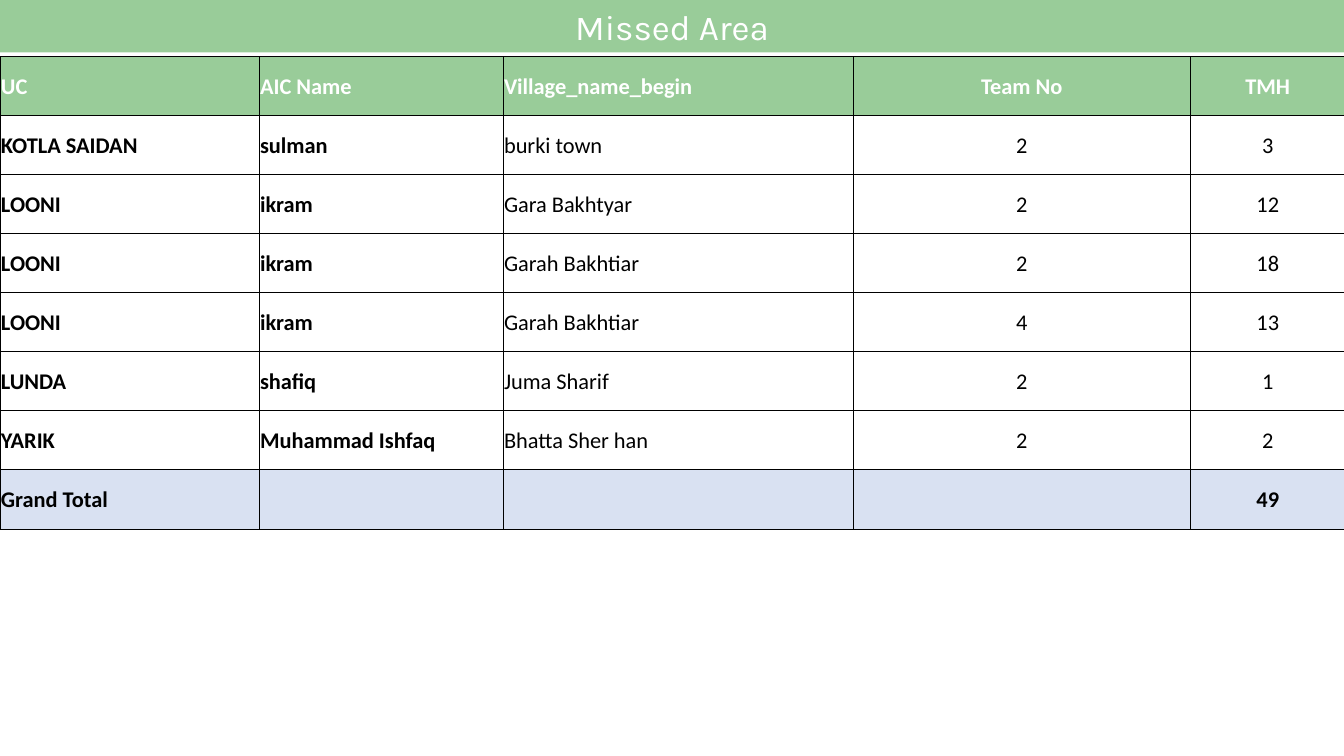
from lxml.etree import SubElement
from pptx import Presentation
from pptx.dml.color import RGBColor
from pptx.enum.text import MSO_ANCHOR, PP_ALIGN
from pptx.oxml.ns import qn
from pptx.util import Inches, Pt

TITLE = "Missed Area"
ROWS = [
    ("UC", "AIC Name", "Village_name_begin", "Team No", "TMH"),
    ("KOTLA SAIDAN", "sulman", "burki town", "2", "3"),
    ("LOONI", "ikram", "Gara Bakhtyar", "2", "12"),
    ("LOONI", "ikram", "Garah Bakhtiar", "2", "18"),
    ("LOONI", "ikram", "Garah Bakhtiar", "4", "13"),
    ("LUNDA", "shafiq", "Juma Sharif", "2", "1"),
    ("YARIK", "Muhammad Ishfaq", "Bhatta Sher han", "2", "2"),
    ("Grand Total", "", "", "", "49"),
]
COLUMN_WIDTHS = (2.57, 2.42, 3.47, 3.35, 1.53)
ROW_HEIGHT = 0.586
GREEN, PALE_BLUE, WHITE, BLACK = "99CC99", "D9E1F2", "FFFFFF", "000000"


def color(value):
    return RGBColor.from_string(value)


def set_font(para, name, size, value, bold=False):
    para.font.name = name
    para.font.size = Pt(size)
    para.font.bold = bold
    para.font.color.rgb = color(value)


def paint(fill, value):
    fill.solid()
    fill.fore_color.rgb = color(value)


def add_borders(cell):
    properties = cell._tc.get_or_add_tcPr()
    for side in ("a:lnL", "a:lnR", "a:lnT", "a:lnB"):
        line = SubElement(properties, qn(side), w=str(Pt(0.5)))
        SubElement(SubElement(line, qn("a:solidFill")), qn("a:srgbClr"), val=BLACK)


deck = Presentation()
deck.slide_width, deck.slide_height = Inches(13.33), Inches(7.5)
page = deck.slides.add_slide(deck.slide_layouts[5])

# Title band
title = page.shapes.title
title.left, title.top, title.width, title.height = 0, 0, Inches(13.33), Inches(0.52)
paint(title.fill, GREEN)
title.text_frame.text = TITLE
title.text_frame.vertical_anchor = MSO_ANCHOR.MIDDLE
para = title.text_frame.paragraphs[0]
para.alignment = PP_ALIGN.CENTER
set_font(para, "Karla", 25, WHITE)

# Table of missed areas
table = page.shapes.add_table(
    len(ROWS), len(COLUMN_WIDTHS), 0, Inches(0.56),
    Inches(sum(COLUMN_WIDTHS)), Inches(ROW_HEIGHT * len(ROWS))).table
for column, width in zip(table.columns, COLUMN_WIDTHS):
    column.width = Inches(width)

last = len(ROWS) - 1
for r, row in enumerate(ROWS):
    table.rows[r].height = Inches(ROW_HEIGHT)
    for c, text in enumerate(row):
        cell = table.cell(r, c)
        cell.vertical_anchor = MSO_ANCHOR.MIDDLE
        cell.margin_left = cell.margin_right = cell.margin_top = Inches(0.01)
        cell.margin_bottom = 0
        add_borders(cell)
        if r in (0, last):
            paint(cell.fill, GREEN if r == 0 else PALE_BLUE)
        else:
            cell.fill.background()
        cell.text = text
        para = cell.text_frame.paragraphs[0]
        para.alignment = PP_ALIGN.CENTER if c > 2 else PP_ALIGN.LEFT
        set_font(para, "Calibri", 16, WHITE if r == 0 else BLACK,
                 bold=r in (0, last) or c < 2)

deck.save("out.pptx")
